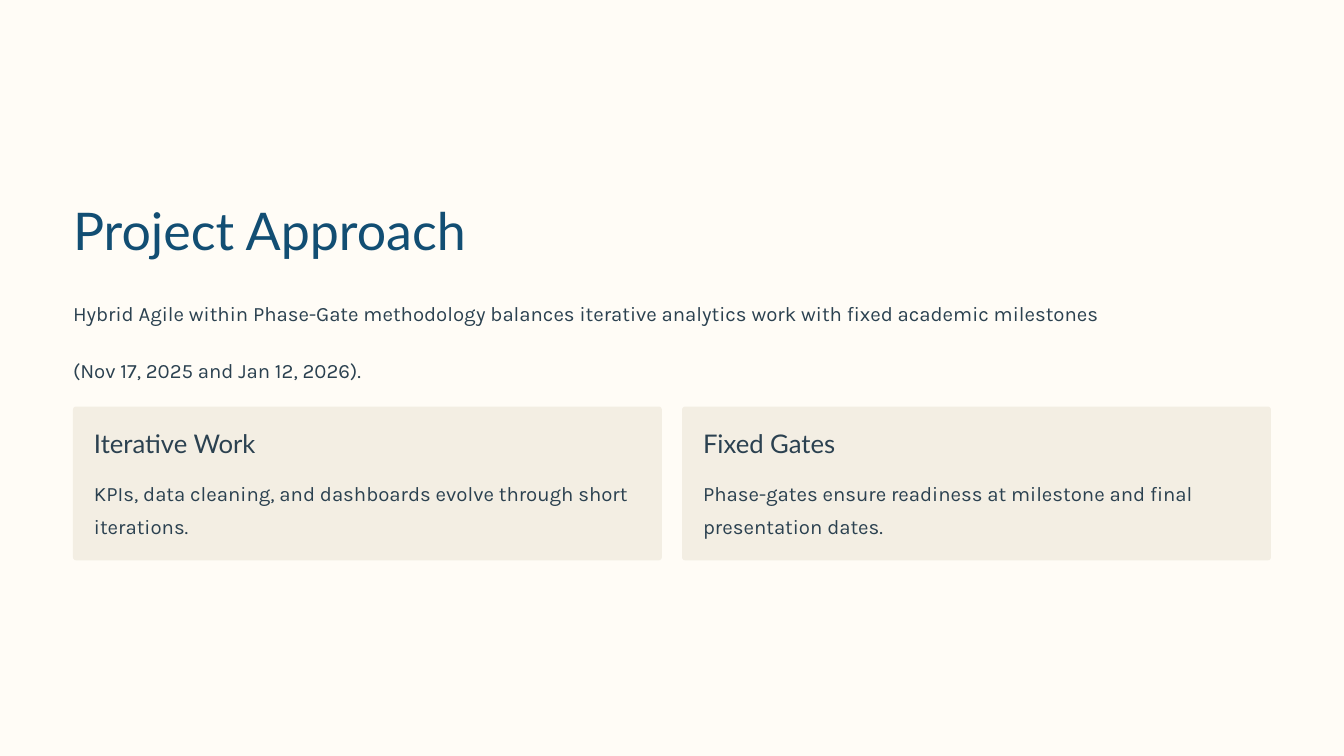
from dataclasses import dataclass

from pptx import Presentation
from pptx.dml.color import RGBColor
from pptx.enum import shapes, text
from pptx.util import Pt


@dataclass(frozen=True)
class TextStyle:
    font: str
    size: float
    line: float
    color: str


@dataclass(frozen=True)
class Theme:
    background: str = "FFFCF6"
    card: str = "F3EEE3"
    title: TextStyle = TextStyle("Lato", 44.5, 55.5, "124E73")
    heading: TextStyle = TextStyle("Lato", 22, 27.5, "2B4150")
    body: TextStyle = TextStyle("Karla", 17.5, 28.5, "2B4150")


class SlideBuilder:
    def __init__(self, page, theme):
        self.page = page
        self.theme = theme
        fill = page.background.fill
        fill.solid()
        fill.fore_color.rgb = RGBColor.from_string(theme.background)

    def set_text(self, box, content, style, gap=0):
        """Fill a box with styled text; gap separates its paragraphs."""
        frame = box.text_frame
        frame.text = content
        frame.word_wrap = True
        frame.auto_size = text.MSO_AUTO_SIZE.NONE
        frame.vertical_anchor = text.MSO_ANCHOR.TOP
        frame.margin_left = frame.margin_right = Pt(0)
        frame.margin_top = frame.margin_bottom = Pt(0)
        for index, paragraph in enumerate(frame.paragraphs):
            paragraph.alignment = text.PP_ALIGN.LEFT
            paragraph.line_spacing = Pt(style.line)
            paragraph.space_before = Pt(gap if index else 0)
            for span in paragraph.runs:
                span.font.name = style.font
                span.font.size = Pt(style.size)
                span.font.color.rgb = RGBColor.from_string(style.color)

    def title(self, content, left, top, width, height):
        box = self.page.shapes.title
        box.left, box.top = Pt(left), Pt(top)
        box.width, box.height = Pt(width), Pt(height)
        self.set_text(box, content, self.theme.title)

    def text_box(self, content, style, left, top, width, height, gap=0):
        box = self.page.shapes.add_textbox(
            Pt(left), Pt(top), Pt(width), Pt(height))
        self.set_text(box, content, style, gap)

    def card(self, heading, body, left, top, width, height, padding=18):
        panel = self.page.shapes.add_shape(
            shapes.MSO_SHAPE.ROUNDED_RECTANGLE,
            Pt(left), Pt(top), Pt(width), Pt(height))
        panel.adjustments[0] = 0.02
        panel.shadow.inherit = False
        panel.fill.solid()
        panel.fill.fore_color.rgb = RGBColor.from_string(self.theme.card)
        panel.line.fill.background()

        inner_left, inner_width = left + padding, width - 2 * padding
        self.text_box(heading, self.theme.heading,
                      inner_left, top + 17.3, inner_width, 28)
        self.text_box(body, self.theme.body,
                      inner_left, top + 56.2, inner_width, 57)


def main():
    deck = Presentation()
    deck.slide_width, deck.slide_height = Pt(1152), Pt(648)
    title_only = deck.slide_layouts[5]
    theme = Theme()
    builder = SlideBuilder(deck.slides.add_slide(title_only), theme)

    margin = 62.6
    content_width = 1152 - 2 * margin
    builder.title("Project Approach", margin, 168.5, content_width, 56)
    builder.text_box(
        "Hybrid Agile within Phase-Gate methodology balances iterative "
        "analytics work with fixed academic milestones\n"
        "(Nov 17, 2025 and Jan 12, 2026).",
        theme.body, margin, 250.6, content_width, 78, gap=20.5)

    cards = [
        ("Iterative Work",
         "KPIs, data cleaning, and dashboards evolve through short iterations."),
        ("Fixed Gates",
         "Phase-gates ensure readiness at milestone and final presentation dates."),
    ]
    card_gap = 17.3
    card_width = (content_width - card_gap) / len(cards)
    for column, (heading, body) in enumerate(cards):
        left = margin + column * (card_width + card_gap)
        builder.card(heading, body, left, 348.5, card_width, 131.8)

    deck.save("out.pptx")


if __name__ == "__main__":
    main()
